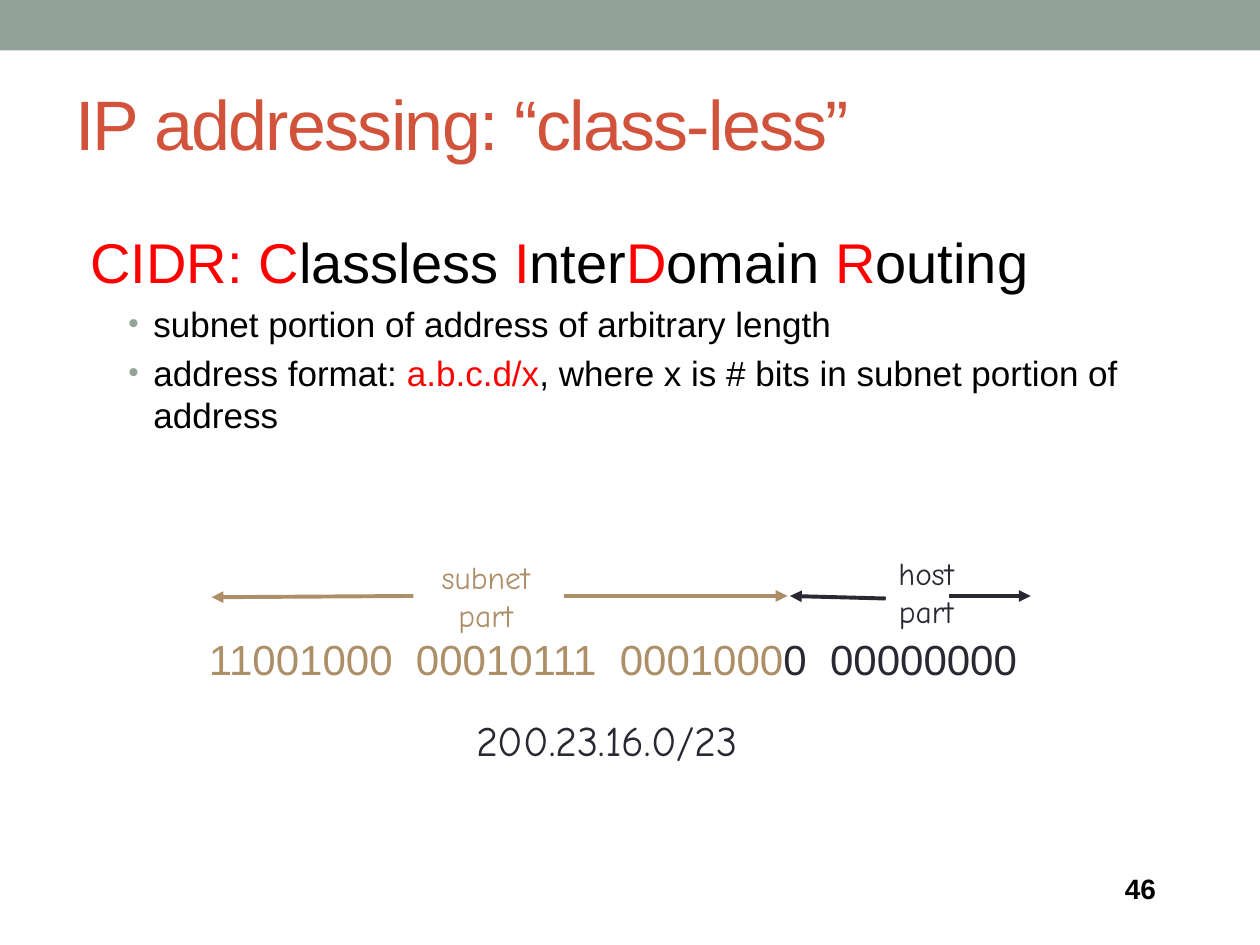
from dataclasses import dataclass

import pptx
import pptx.util
import pptx.dml.color
import pptx.enum.shapes
import pptx.enum.text
import pptx.oxml
import pptx.oxml.ns
from lxml import etree

# The page is a grid of 100 columns by 75 rows.
COLUMNS, ROWS = 100, 75
WIDTH, HEIGHT = pptx.util.Inches(10), pptx.util.Inches(7.5)
COLOURS = {
    "band": "93A299",
    "title": "D2533C",
    "accent": "FF0000",
    "text": "000000",
    "subnet": "AD8F67",
    "host": "292934",
}
SANS, HAND = "Arial", "Comic Neue"
CENTER = pptx.enum.text.PP_ALIGN.CENTER
LEFT = pptx.enum.text.PP_ALIGN.LEFT
TOP = pptx.enum.text.MSO_ANCHOR.TOP
MIDDLE = pptx.enum.text.MSO_ANCHOR.MIDDLE


@dataclass(frozen=True)
class Span:
    text: str
    colour: str


@dataclass(frozen=True)
class Paragraph:
    spans: tuple[Span, ...]
    size: float
    font: str = SANS
    align: pptx.enum.text.PP_ALIGN = LEFT
    bold: bool = False
    tracking: float = 0
    space_before: float = 0
    bullet: bool = False


@dataclass(frozen=True)
class TextBlock:
    area: tuple[float, float, float, float]
    paragraphs: tuple[Paragraph, ...]
    wrap: bool = False
    anchor: pptx.enum.text.MSO_ANCHOR = TOP


@dataclass(frozen=True)
class Arrow:
    start: tuple[float, float]
    end: tuple[float, float]
    colour: str


def column(count: float) -> int:
    return round(WIDTH * count / COLUMNS)


def row(count: float) -> int:
    return round(HEIGHT * count / ROWS)


def rgb(name: str) -> pptx.dml.color.RGBColor:
    return pptx.dml.color.RGBColor.from_string(COLOURS[name])


def add_element(parent, tag: str, **attributes: str):
    return etree.SubElement(parent, pptx.oxml.ns.qn(tag), attributes)


def add_bullet(para) -> None:
    properties = para._p.get_or_add_pPr()
    properties.set("marL", str(pptx.util.Inches(0.5)))
    properties.set("indent", str(pptx.util.Inches(-0.2)))
    colour = add_element(properties, "a:buClr")
    add_element(colour, "a:srgbClr", val=COLOURS["band"])
    add_element(properties, "a:buSzPct", val="85000")
    add_element(properties, "a:buFont", typeface=SANS)
    add_element(properties, "a:buChar", char="•")


def fill_paragraph(para, content: Paragraph) -> None:
    para.alignment = content.align
    para.space_before = pptx.util.Pt(content.space_before)
    if content.bullet:
        add_bullet(para)
    for piece in content.spans:
        span = para.add_run()
        span.text = piece.text
        span.font.name = content.font
        span.font.size = pptx.util.Pt(content.size)
        span.font.bold = content.bold
        span.font.color.rgb = rgb(piece.colour)
        if content.tracking:
            span.font._element.set("spc", str(round(content.tracking * 100)))


def draw_text(page, block: TextBlock) -> None:
    left, top, width, height = block.area
    box = page.shapes.add_textbox(column(left), row(top), column(width), row(height))
    frame = box.text_frame
    frame.word_wrap = block.wrap
    frame.vertical_anchor = block.anchor
    for index, content in enumerate(block.paragraphs):
        para = frame.add_paragraph() if index else frame.paragraphs[0]
        fill_paragraph(para, content)


def draw_arrow(page, arrow: Arrow) -> None:
    (x1, y1), (x2, y2) = arrow.start, arrow.end
    line = page.shapes.add_connector(
        pptx.enum.shapes.MSO_CONNECTOR.STRAIGHT, column(x1), row(y1), column(x2), row(y2)
    )
    line.line.color.rgb = rgb(arrow.colour)
    line.line.width = pptx.util.Pt(2.25)
    add_element(line.line._get_or_add_ln(), "a:tailEnd", type="triangle")
    add_element(line._element.spPr, "a:effectLst")


def draw_band(page) -> None:
    band = page.shapes.add_shape(
        pptx.enum.shapes.MSO_SHAPE.RECTANGLE, 0, 0, WIDTH, row(4)
    )
    band.shadow.inherit = False
    band.fill.solid()
    band.fill.fore_color.rgb = rgb("band")
    band.line.fill.background()


def part_label(owner: str, colour: str) -> tuple[Paragraph, ...]:
    return tuple(
        Paragraph((Span(word, colour),), 18, HAND, CENTER) for word in (owner, "part")
    )


def bullet_point(*spans: Span) -> Paragraph:
    return Paragraph(spans, 20, space_before=4, bullet=True)


HEADLINE = Paragraph(
    (
        Span("CIDR: C", "accent"),
        Span("lassless ", "text"),
        Span("I", "accent"),
        Span("nter", "text"),
        Span("D", "accent"),
        Span("omain ", "text"),
        Span("R", "accent"),
        Span("outing", "text"),
    ),
    32,
    space_before=6.4,
)
BODY = (
    HEADLINE,
    bullet_point(Span("subnet portion of address of arbitrary length", "text")),
    bullet_point(
        Span("address format: ", "text"),
        Span("a.b.c.d/x", "accent"),
        Span(", where x is # bits in subnet portion of address", "text"),
    ),
)
TITLE = Paragraph((Span("IP addressing: “class-less”", "title"),), 40, tracking=-1)
BITS = Paragraph(
    (Span("11001000  00010111  0001000", "subnet"), Span("0  00000000", "host")), 24
)
ADDRESS = Paragraph((Span("200.23.16.0/23", "host"),), 24, HAND)
PAGE_NUMBER = Paragraph((Span("46", "text"),), 16, bold=True)

TEXT_BLOCKS = (
    TextBlock((5, 4.3, 90, 10.8), (TITLE,), wrap=True, anchor=MIDDLE),
    TextBlock((6.2, 17.6, 88.7, 34.7), BODY, wrap=True),
    TextBlock((15.6, 49.8, 67, 5), (BITS,)),
    TextBlock((33.6, 43.8, 9.9, 7), part_label("subnet", "subnet")),
    TextBlock((69.9, 43.5, 7.2, 7), part_label("host", "host")),
    TextBlock((36.8, 56.2, 26, 5), (ADDRESS,)),
    TextBlock((88.3, 68.7, 7.9, 3.6), (PAGE_NUMBER,), wrap=True, anchor=MIDDLE),
)
ARROWS = (
    Arrow((44.8, 47.3), (62.5, 47.3), "subnet"),
    Arrow((32.8, 47.3), (16.8, 47.4), "subnet"),
    Arrow((70.3, 47.5), (62.7, 47.3), "host"),
    Arrow((75.3, 47.3), (81.8, 47.3), "host"),
)


def main() -> None:
    deck = pptx.Presentation()
    deck.slide_width, deck.slide_height = WIDTH, HEIGHT
    page = deck.slides.add_slide(deck.slide_layouts[6])
    draw_band(page)
    for block in TEXT_BLOCKS:
        draw_text(page, block)
    for arrow in ARROWS:
        draw_arrow(page, arrow)
    deck.save("out.pptx")


if __name__ == "__main__":
    main()
